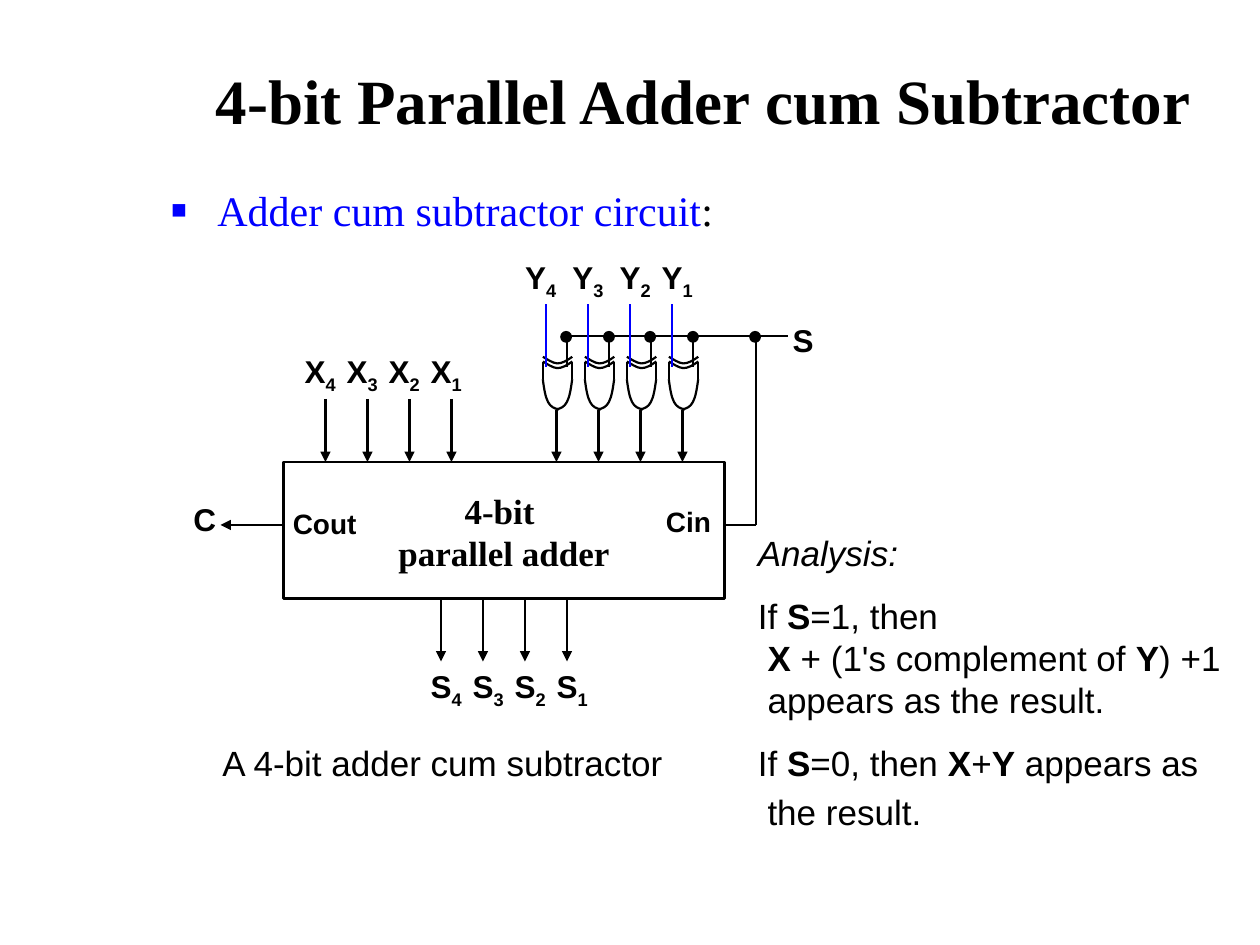
from dataclasses import dataclass

from lxml.etree import SubElement
from pptx import Presentation
from pptx.dml.color import RGBColor
from pptx.enum.shapes import MSO_CONNECTOR as Connector, MSO_SHAPE as Shape
from pptx.enum.text import MSO_ANCHOR as Anchor, MSO_AUTO_SIZE as AutoSize, PP_ALIGN as Align
from pptx.oxml.ns import qn
from pptx.util import Pt


@dataclass(frozen=True)
class Theme:
    black: RGBColor = RGBColor(0, 0, 0)
    blue: RGBColor = RGBColor(0, 0, 255)
    serif: str = "Times New Roman"
    sans: str = "Arial"
    title: int = 36
    bullet: int = 24
    text: int = 20
    signal: int = 18
    port: int = 16
    wire: float = 1.25


theme = Theme()
BOLD = {"bold": True}
SUBSCRIPT = {"baseline": "-25000"}

deck = Presentation()
deck.slide_width, deck.slide_height = Pt(720), Pt(540)
slide = deck.slides.add_slide(deck.slide_layouts[1])
shapes = slide.shapes


def write(paragraphs, box, holder=None, size=theme.signal, font=theme.sans, bold=False,
          align=Align.CENTER, anchor=Anchor.TOP, gaps=(), leading=1.2):
    """Write paragraphs, each a list of (text, run format), into a box of points."""
    holder = holder or shapes.add_textbox(0, 0, 0, 0)
    holder.left, holder.top, holder.width, holder.height = map(Pt, box)
    frame = holder.text_frame
    frame.word_wrap = True
    frame.auto_size = AutoSize.NONE
    frame.vertical_anchor = anchor
    for index, runs in enumerate(paragraphs):
        line = frame.paragraphs[0] if index == 0 else frame.add_paragraph()
        line.alignment = align
        line.line_spacing = Pt(size * leading)
        line.space_before = Pt(gaps[index] if gaps else 0)
        for text, look in runs:
            run = line.add_run()
            run.text = text
            run.font.size, run.font.name = Pt(size), font
            run.font.bold = look.get("bold", bold)
            run.font.italic = look.get("italic", False)
            run.font.color.rgb = look.get("color", theme.black)
            if "baseline" in look:
                run.font._element.set("baseline", look["baseline"])
    return frame


def wire(x1, y1, x2, y2, color=theme.black, arrow=False):
    """Draw a straight wire, with an arrowhead at its end if asked."""
    link = shapes.add_connector(Connector.STRAIGHT, Pt(x1), Pt(y1), Pt(x2), Pt(y2))
    link.line.color.rgb = color
    link.line.width = Pt(theme.wire)
    if arrow:
        SubElement(link.line._get_or_add_ln(), qn("a:tailEnd"), type="triangle")
    SubElement(link._element.spPr, qn("a:effectLst"))


# Title and bulleted heading
write([[("4-bit Parallel Adder cum Subtractor", {})]], (96, 12, 612, 90),
      holder=shapes.title, size=theme.title, font=theme.serif, bold=True, anchor=Anchor.MIDDLE)
heading = write([[("Adder cum subtractor circuit", {"color": theme.blue}), (":", {})]],
                (90, 102, 612, 42), holder=slide.placeholders[1], size=theme.bullet,
                font=theme.serif, align=Align.LEFT)
bullet = heading.paragraphs[0]._p.get_or_add_pPr()
bullet.set("marL", str(Pt(27)))
bullet.set("indent", str(Pt(-27)))
SubElement(SubElement(bullet, qn("a:buClr")), qn("a:srgbClr"), val=str(theme.blue))
SubElement(bullet, qn("a:buSzPct"), val="120000")
SubElement(bullet, qn("a:buFont"), typeface=theme.serif)
SubElement(bullet, qn("a:buChar"), char="▪")

# Analysis
write([
    [("Analysis:", {"italic": True})],
    [("If ", {}), ("S", BOLD), ("=1, then", {})],
    [(" X ", BOLD), ("+ (1's complement of ", {}), ("Y", BOLD), (") +1", {})],
    [(" appears as the result.", {})],
    [("If ", {}), ("S", BOLD), ("=0, then ", {}), ("X", BOLD), ("+", {}), ("Y", BOLD),
     (" appears as", {})],
    [(" the result.", {})],
], (426, 300, 282, 186), size=theme.text, align=Align.LEFT, gaps=(0, 12, 0, 0, 12, 4))

# Adder block with its ports
adder = shapes.add_shape(Shape.RECTANGLE, Pt(162), Pt(264), Pt(252), Pt(78))
adder.shadow.inherit = False
adder.fill.background()
adder.line.color.rgb = theme.black
adder.line.width = Pt(1.5)
write([[("4-bit ", {})], [("parallel adder", {})]], (198, 276, 180, 55.5),
      size=theme.text, font=theme.serif, bold=True)
for port, box in (("Cout", (158.5, 286, 54, 27)), ("Cin", (372.4, 284.5, 42, 27))):
    write([[(port, {})]], box, size=theme.port, bold=True)
for signal, box in (("C", (102, 282, 30, 29)), ("S", (444, 180, 30, 29))):
    write([[(signal, {})]], box, bold=True)

# Carry out, and the select line with its branch to carry in
wire(162, 300, 126, 300, arrow=True)
wire(324, 192, 450, 192)
wire(432, 192, 432, 300)
wire(414, 300, 432, 300)

# XOR gate curves, as Bezier points measured from the gate's Y wire
rim = [(15, 206.6), (12, 208.8), (9.2, 210.4), (6.5, 210.4),
       (4, 210.4), (0, 207.6), (-1.8, 206.6)]
outer_rim = [(x, y - 2.7) for x, y in rim]
right_side = [(15, 216.7), (14.3, 221.8), (13.6, 226.8), (12, 229.7),
              (10.6, 232.5), (8.5, 233.5), (5.7, 234)]
left_side = [(13.2 - x, y) for x, y in right_side]

# The four bits, from the highest down
y_label_centers = (309, 336, 363, 387)
for column, y_center in enumerate(y_label_centers):
    bit = str(4 - column)
    shift = 24 * column
    y_wire = 312 + shift

    for letter, left, top in (("X", 162 + shift, 198), ("Y", y_center - 21, 144),
                              ("S", 234 + shift, 378)):
        write([[(letter, {}), (bit, SUBSCRIPT)]], (left, top, 42, 31.5), bold=True, leading=1.35)

    wire(186 + shift, 228, 186 + shift, 264, arrow=True)
    wire(252 + shift, 342, 252 + shift, 378, arrow=True)
    wire(y_wire + 6, 234, y_wire + 6, 264, arrow=True)

    # Gate: straight flanks, then curves whose segments become Beziers by threes
    for flank in (15, -1.8):
        wire(y_wire + flank, 206.6, y_wire + flank, 216.7)
    for curve in (rim, right_side, left_side, outer_rim):
        points = [(Pt(y_wire + x), Pt(y)) for x, y in curve]
        pen = shapes.build_freeform(*points[0])
        pen.add_line_segments(points[1:], close=False)
        outline = pen.convert_to_shape()
        outline.shadow.inherit = False
        outline.fill.background()
        outline.line.color.rgb = theme.black
        outline.line.width = Pt(theme.wire)
        segments = list(outline._element.iter(qn("a:lnTo")))
        for start in (0, 3):
            bezier = SubElement(segments[0].getparent(), qn("a:cubicBezTo"))
            for segment in segments[start:start + 3]:
                bezier.append(segment[0])
        for segment in segments:
            segment.getparent().remove(segment)

    wire(y_wire, 174, y_wire, 210, color=theme.blue)
    wire(y_wire + 12, 192, y_wire + 12, 210)

# Junctions on the select line
for center in (323.5, 348, 371.5, 396, 431.5):
    junction = shapes.add_shape(Shape.OVAL, Pt(center - 3), Pt(189.5), Pt(6), Pt(6))
    junction.shadow.inherit = False
    junction.fill.solid()
    junction.fill.fore_color.rgb = theme.black
    junction.line.color.rgb = theme.black
    junction.line.width = Pt(0.75)

# Caption
write([[("A 4-bit adder cum subtractor", {})]], (120, 420, 270, 31.5),
      size=theme.text, align=Align.LEFT)

deck.save("out.pptx")
